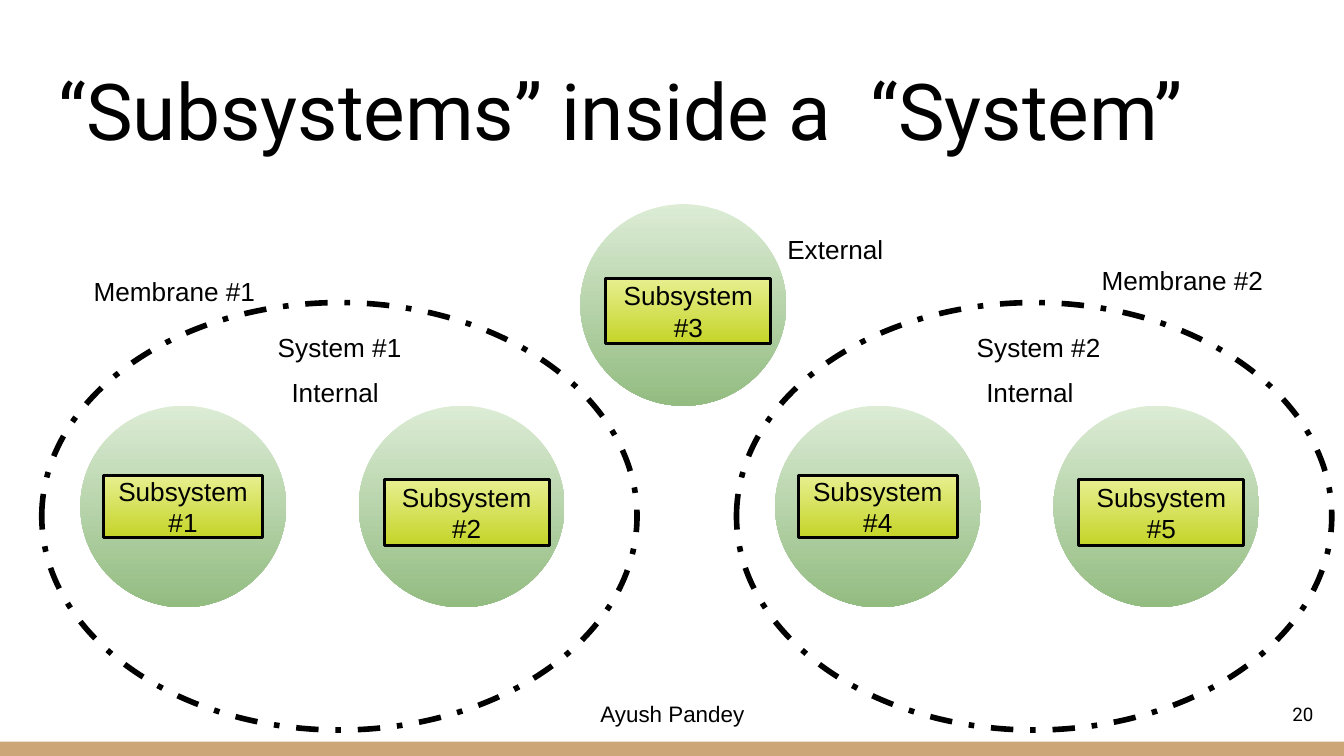
from pptx import Presentation
from pptx.dml.color import RGBColor
from pptx.enum.dml import MSO_LINE
from pptx.enum.shapes import MSO_SHAPE
from pptx.enum.text import MSO_ANCHOR, PP_ALIGN
from pptx.util import Cm, Pt

BLACK = RGBColor(0x00, 0x00, 0x00)
TAN = RGBColor(0xCC, 0xA6, 0x77)
GREENS = RGBColor(0xDC, 0xEC, 0xD5), RGBColor(0x93, 0xBC, 0x81)
YELLOWS = RGBColor(0xE7, 0xEF, 0x8F), RGBColor(0xC5, 0xD4, 0x28)

SYSTEM_PITCH = 13.13

prs = Presentation()
prs.slide_width, prs.slide_height = Cm(25.4), Cm(14.29)
s = prs.slides.add_slide(prs.slide_layouts[6])


def write(sp, text, size=14, font="Arial", align=PP_ALIGN.LEFT, anchor=MSO_ANCHOR.TOP):
    tf = sp.text_frame
    tf.word_wrap = True
    tf.vertical_anchor = anchor
    tf.margin_left = tf.margin_right = tf.margin_top = tf.margin_bottom = Cm(0.25)
    p = tf.paragraphs[0]
    p.text = text
    p.alignment = align
    p.font.size, p.font.name = Pt(size), font
    p.font.color.rgb = BLACK


def add_shape(kind, x, y, w, h, colors=(), line=0):
    """Add a shape with no, one solid or two top-to-bottom gradient colours."""
    sp = s.shapes.add_shape(kind, Cm(x), Cm(y), Cm(w), Cm(h))
    sp.shadow.inherit = False
    if len(colors) == 2:
        sp.fill.gradient()
        sp.fill.gradient_angle = 270
        for stop, position, color in zip(sp.fill.gradient_stops, (0, 1), colors):
            stop.position, stop.color.rgb = position, color
    elif colors:
        sp.fill.solid()
        sp.fill.fore_color.rgb = colors[0]
    else:
        sp.fill.background()
    if line:
        sp.line.width = Pt(line)
        sp.line.color.rgb = BLACK
    else:
        sp.line.fill.background()
    return sp


add_shape(MSO_SHAPE.RECTANGLE, 0, 14.02, 25.4, 0.27, [TAN])

# Membranes
for i in range(2):
    membrane = add_shape(MSO_SHAPE.OVAL, 0.79 + i * SYSTEM_PITCH, 5.72, 11.25, 8.08, line=3)
    membrane.line.dash_style = MSO_LINE.DASH_DOT

# Subsystems: circle corner, then label box offset and size
small_box = 0.44, 1.32, 3.0, 1.17
large_box = 0.48, 1.4, 3.12, 1.24
subsystems = [
    (1.52, 7.67, small_box),
    (6.78, 7.67, large_box),
    (10.97, 3.86, large_box),
    (1.52 + SYSTEM_PITCH, 7.67, small_box),
    (6.78 + SYSTEM_PITCH, 7.67, large_box),
]
for number, (x, y, (dx, dy, w, h)) in enumerate(subsystems, 1):
    add_shape(MSO_SHAPE.OVAL, x, y, 3.89, 3.81, GREENS)
    box = add_shape(MSO_SHAPE.RECTANGLE, x + dx, y + dy, w, h, YELLOWS, line=1.5)
    write(box, f"Subsystem #{number}", align=PP_ALIGN.CENTER, anchor=MSO_ANCHOR.MIDDLE)

# Region labels
labels = [
    ("Internal", 5.26, 6.86, 2.46),
    ("Internal", 5.26 + SYSTEM_PITCH, 6.86, 2.46),
    ("External", 14.63, 4.17, 2.46),
    ("System #1", 5.0, 6.02, 2.84),
    ("System #2", 18.21, 6.02, 2.84),
    ("Membrane #1", 1.52, 4.95, 3.99),
    ("Membrane #2", 20.57, 4.75, 3.99),
]
for text, x, y, w in labels:
    write(s.shapes.add_textbox(Cm(x), Cm(y), Cm(w), Cm(0.97)), text)

title = s.shapes.add_textbox(Cm(0.86), Cm(0.89), Cm(23.67), Cm(2.31))
write(title, "“Subsystems” inside a  “System”", 42, "Roboto", anchor=MSO_ANCHOR.BOTTOM)

author = s.shapes.add_textbox(Cm(11.02), Cm(13.11), Cm(3.38), Cm(0.76))
write(author, "Ayush Pandey", 12, align=PP_ALIGN.CENTER, anchor=MSO_ANCHOR.MIDDLE)

page = s.shapes.add_textbox(Cm(23.55), Cm(12.95), Cm(1.52), Cm(1.09))
write(page, "20", 10, "Roboto", PP_ALIGN.RIGHT, MSO_ANCHOR.MIDDLE)

prs.save("out.pptx")
